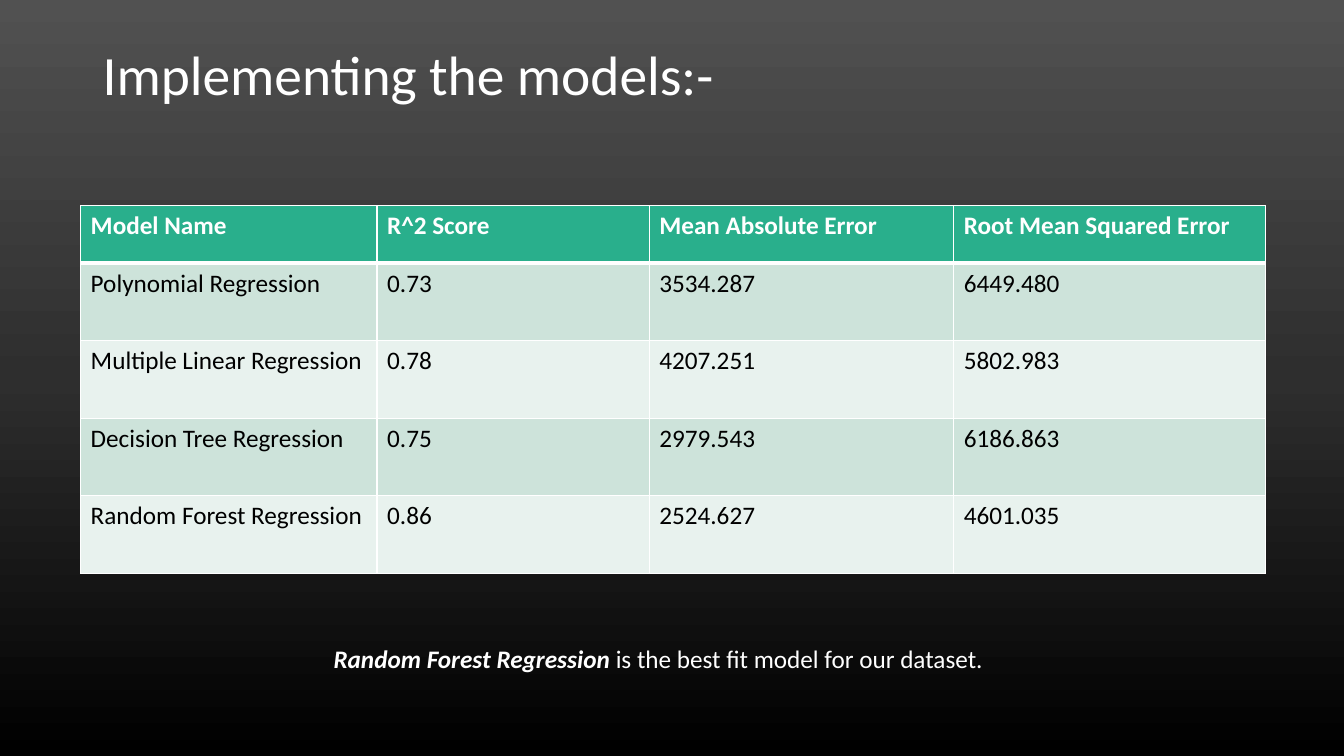
import copy

import pptx
import pptx.dml.color
import pptx.enum.text
import pptx.oxml
import pptx.oxml.ns
import pptx.util
from pptx.dml.color import RGBColor
from pptx.util import Inches

# Content
TITLE = "Implementing the models:-"
SCORES = [
    ("Model Name", "R^2 Score", "Mean Absolute Error", "Root Mean Squared Error"),
    ("Polynomial Regression", "0.73", "3534.287", "6449.480"),
    ("Multiple Linear Regression", "0.78", "4207.251", "5802.983"),
    ("Decision Tree Regression", "0.75", "2979.543", "6186.863"),
    ("Random Forest Regression", "0.86", "2524.627", "4601.035"),
]
BEST_MODEL = "Random Forest Regression "
CONCLUSION = "is the best fit model for our dataset."

# Style
FONT = "Calibri"
WHITE = RGBColor(0xFF, 0xFF, 0xFF)
BLACK = RGBColor(0x00, 0x00, 0x00)
GREEN = RGBColor(0x29, 0xAF, 0x8C)
BANDS = [RGBColor(0xE8, 0xF2, 0xEE), RGBColor(0xCD, 0xE3, 0xDA)]
BACKDROP = [
    (0, RGBColor(0x51, 0x51, 0x51)),
    (0.5, RGBColor(0x2E, 0x2E, 0x2E)),
    (1, BLACK),
]
COLUMN_WIDTHS = [2.94, 2.7, 3.02, 3.09]
HEADER_HEIGHT, ROW_HEIGHT = 0.57, 0.77


def style(span, size, color, bold=False, italic=False):
    span.font.name = FONT
    span.font.size = pptx.util.Pt(size)
    span.font.color.rgb = color
    span.font.bold = bold
    span.font.italic = italic


def add_text(page, left, top, width, height):
    box = page.shapes.add_textbox(
        Inches(left), Inches(top), Inches(width), Inches(height))
    box.text_frame.word_wrap = True
    return box.text_frame


def set_borders(cell, widths):
    properties = cell._tc.get_or_add_tcPr()
    for index, (side, points) in enumerate(widths.items()):
        line = pptx.oxml.parse_xml(
            f'<a:ln{side} {pptx.oxml.ns.nsdecls("a")} w="{pptx.util.Pt(points)}">'
            f'<a:solidFill><a:srgbClr val="{WHITE}"/></a:solidFill></a:ln{side}>')
        properties.insert(index, line)


def paint_background(page):
    fill = page.background.fill
    fill.gradient()
    fill.gradient_angle = 270
    stops = page.element.find(".//" + pptx.oxml.ns.qn("a:gsLst"))
    stops.append(copy.deepcopy(stops[-1]))
    for stop, (position, color) in zip(fill.gradient_stops, BACKDROP):
        stop.position = position
        stop.color.rgb = color


def add_scores(page):
    heights = [HEADER_HEIGHT] + [ROW_HEIGHT] * (len(SCORES) - 1)
    frame = page.shapes.add_table(
        len(SCORES), len(COLUMN_WIDTHS), Inches(0.8), Inches(2.04),
        Inches(sum(COLUMN_WIDTHS)), Inches(sum(heights)))
    table = frame.table
    for column, width in zip(table.columns, COLUMN_WIDTHS):
        column.width = Inches(width)
    for index, (height, values) in enumerate(zip(heights, SCORES)):
        table.rows[index].height = Inches(height)
        header = index == 0
        for cell, value in zip(table.rows[index].cells, values):
            cell.text_frame.text = value
            style(cell.text_frame.paragraphs[0].runs[0], 18,
                  WHITE if header else BLACK, bold=header)
            cell.fill.solid()
            cell.fill.fore_color.rgb = GREEN if header else BANDS[index % 2]
            # A thick rule separates the header from the scores
            set_borders(cell, {"L": 1, "R": 1, "T": 3 if index == 1 else 1,
                               "B": 3 if header else 1})


def main():
    deck = pptx.Presentation()
    deck.slide_width, deck.slide_height = Inches(13.33), Inches(7.5)
    page = deck.slides.add_slide(deck.slide_layouts[6])
    paint_background(page)

    # Title
    title = add_text(page, 0.92, 0.4, 11.5, 0.73)
    title.vertical_anchor = pptx.enum.text.MSO_ANCHOR.MIDDLE
    title.text = TITLE
    title.paragraphs[0].line_spacing = 0.9
    style(title.paragraphs[0].runs[0], 39.6, WHITE)

    # Model scores
    add_scores(page)

    # Conclusion
    para = add_text(page, 3.21, 6.33, 9.2, 0.4).paragraphs[0]
    for text, strong in [(BEST_MODEL, True), (CONCLUSION, False)]:
        span = para.add_run()
        span.text = text
        style(span, 18, WHITE, bold=strong, italic=strong)

    deck.save("out.pptx")


if __name__ == "__main__":
    main()
